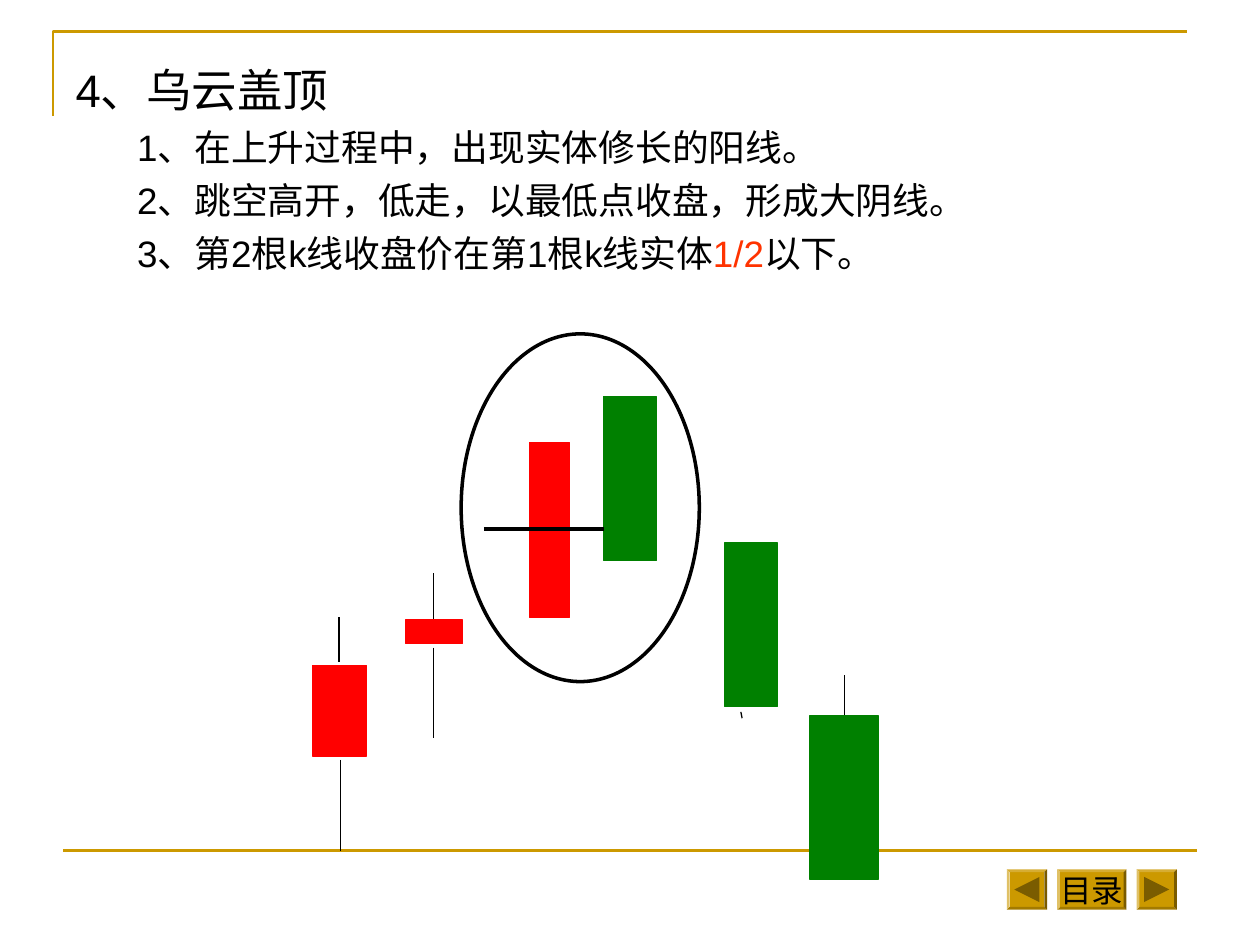
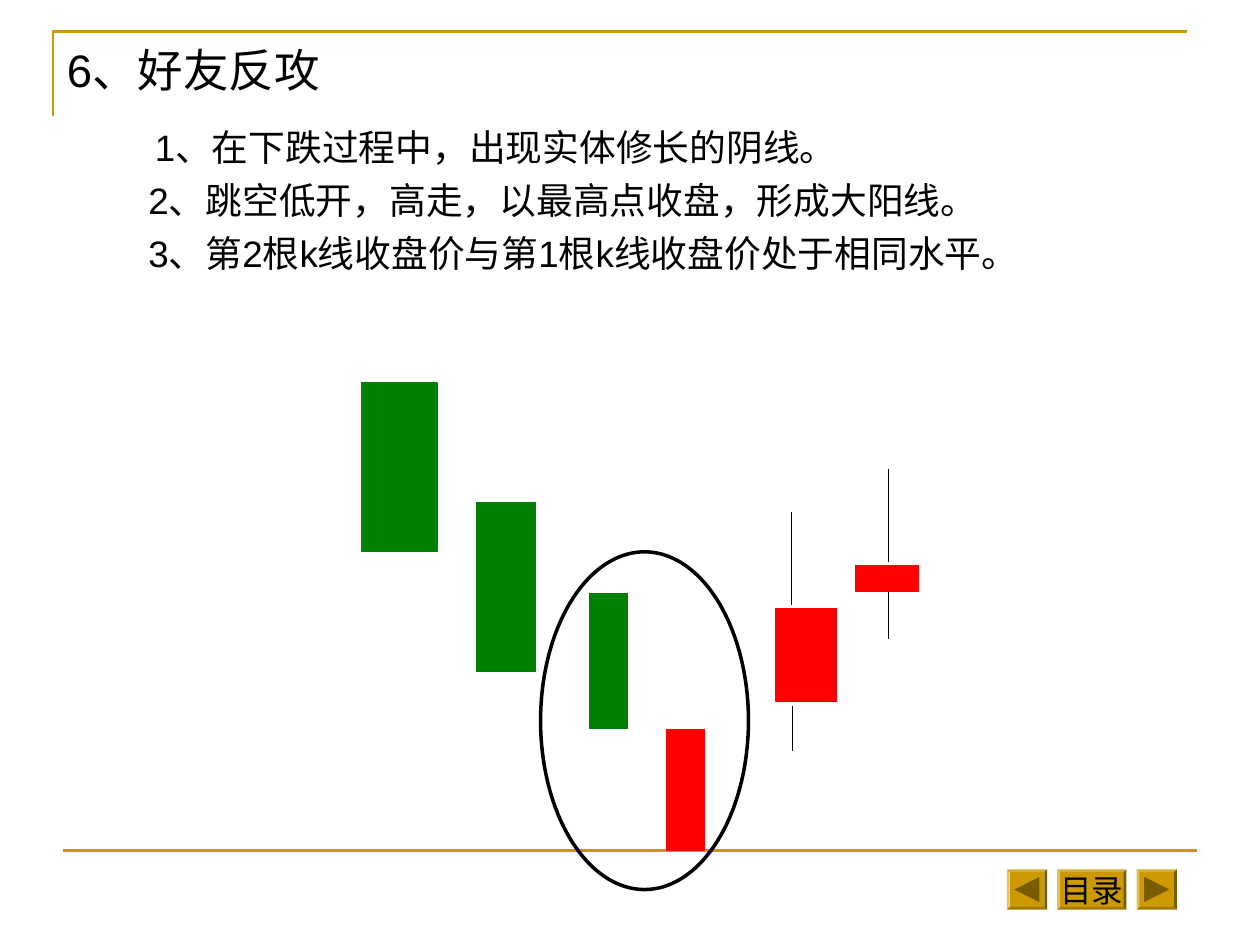
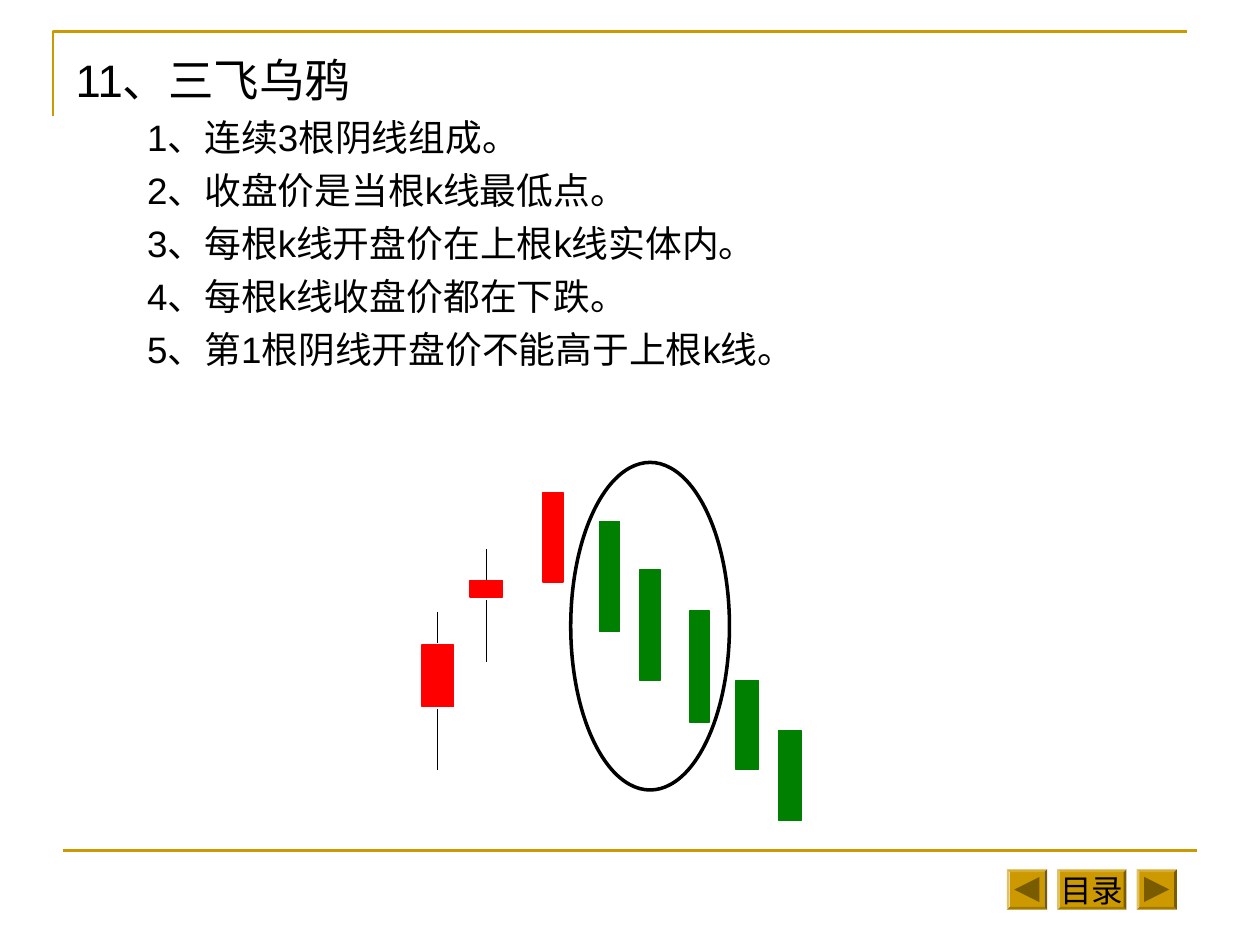
import pptx
import pptx.dml.color
import pptx.enum.shapes
import pptx.enum.text
import pptx.oxml
import pptx.util

Inches = pptx.util.Inches
Pt = pptx.util.Pt
SHAPES = pptx.enum.shapes.MSO_SHAPE
ALIGN = pptx.enum.text.PP_ALIGN
ANCHOR = pptx.enum.text.MSO_ANCHOR

GOLD = "CC9900"
DARK_GOLD = "7A5C00"
BLACK = "000000"
HIGHLIGHT = "FF3300"
CANDLE_COLOURS = {"rise": "FF0000", "fall": "008000"}
LINE_STYLES = {"rule": (GOLD, 1.5), "wick": (BLACK, 0.75), "midline": (BLACK, 2)}


def colour(hex_string):
    return pptx.dml.color.RGBColor.from_string(hex_string)


def write(paragraph, text, size=21, hex_string=BLACK, align=ALIGN.LEFT, before=0):
    paragraph.alignment = align
    paragraph.space_before = Pt(before)
    run = paragraph.add_run()
    run.text = text
    run.font.size = Pt(size)
    run.font.name = "Arial"
    run.font.color.rgb = colour(hex_string)


patterns = [
    {
        "title": "4、乌云盖顶",
        "title_at": (0.5, 0.44),
        "list_at": (0.99, 0.94),
        "first_indent": 0,
        "points": [
            "1、在上升过程中，出现实体修长的阳线。",
            "2、跳空高开，低走，以最低点收盘，形成大阴线。",
            "3、第2根k线收盘价在第1根k线实体1/2以下。",
        ],
        "chart": [
            ("rise", 2.48, 5.28, 0.43, 0.72),
            ("wick", 2.69, 4.9, 2.69, 5.25),
            ("wick", 2.7, 6.03, 2.7, 6.75),
            ("rise", 3.22, 4.92, 0.45, 0.19),
            ("wick", 3.44, 4.55, 3.44, 4.91),
            ("wick", 3.44, 5.14, 3.44, 5.86),
            ("fall", 4.79, 3.15, 0.42, 1.3),
            ("wick", 5.88, 5.65, 5.89, 5.7),
            ("fall", 5.75, 4.31, 0.42, 1.3),
            ("wick", 6.7, 5.36, 6.7, 5.71),
            ("fall", 6.43, 5.68, 0.54, 1.3),
            ("rise", 4.2, 3.51, 0.32, 1.39),
            ("midline", 3.84, 4.2, 4.79, 4.2),
            ("oval", 3.66, 2.65, 1.89, 2.76),
        ],
    },
    {
        "title": "6、好友反攻",
        "title_at": (0.43, 0.28),
        "list_at": (1.08, 0.94),
        "first_indent": 0.05,
        "points": [
            "1、在下跌过程中，出现实体修长的阴线。",
            "2、跳空低开，高走，以最高点收盘，形成大阳线。",
            "3、第2根k线收盘价与第1根k线收盘价处于相同水平。",
        ],
        "chart": [
            ("rise", 6.16, 4.83, 0.48, 0.74),
            ("wick", 6.29, 5.6, 6.29, 5.96),
            ("wick", 6.28, 4.06, 6.28, 4.8),
            ("rise", 6.79, 4.49, 0.5, 0.2),
            ("wick", 7.05, 4.7, 7.05, 5.07),
            ("wick", 7.05, 3.72, 7.05, 4.46),
            ("rise", 5.29, 5.79, 0.3, 0.96),
            ("fall", 3.78, 3.99, 0.47, 1.34),
            ("fall", 2.87, 3.04, 0.6, 1.34),
            ("fall", 4.68, 4.71, 0.3, 1.07),
            ("oval", 4.29, 4.38, 1.65, 2.68),
        ],
    },
    {
        "title": "11、三飞乌鸦",
        "title_at": (0.5, 0.36),
        "list_at": (1.07, 0.86),
        "first_indent": 0,
        "points": [
            "1、连续3根阴线组成。",
            "2、收盘价是当根k线最低点。",
            "3、每根k线开盘价在上根k线实体内。",
            "4、每根k线收盘价都在下跌。",
            "5、第1根阴线开盘价不能高于上根k线。",
        ],
        "chart": [
            ("oval", 4.53, 3.67, 1.26, 2.6),
            ("rise", 3.35, 5.12, 0.25, 0.49),
            ("wick", 3.47, 4.86, 3.47, 5.1),
            ("wick", 3.47, 5.63, 3.47, 6.11),
            ("rise", 3.73, 4.61, 0.26, 0.13),
            ("wick", 3.86, 4.36, 3.86, 4.6),
            ("wick", 3.86, 4.76, 3.86, 5.25),
            ("rise", 4.31, 3.91, 0.16, 0.71),
            ("fall", 4.76, 4.14, 0.16, 0.87),
            ("fall", 5.08, 4.52, 0.16, 0.88),
            ("fall", 5.84, 5.4, 0.18, 0.71),
            ("fall", 5.47, 4.85, 0.16, 0.88),
            ("fall", 6.18, 5.8, 0.18, 0.71),
        ],
    },
]

presentation = pptx.Presentation()
presentation.slide_width = Inches(10)
presentation.slide_height = Inches(7.5)

for pattern in patterns:
    slide = presentation.slides.add_slide(presentation.slide_layouts[5])

    builder = slide.shapes.build_freeform(Inches(0.42), Inches(0.92))
    builder.add_line_segments(
        [(Inches(0.42), Inches(0.25)), (Inches(9.42), Inches(0.25))], close=False
    )
    corner = builder.convert_to_shape()
    corner.shadow.inherit = False
    corner.fill.background()
    corner.line.color.rgb = colour(GOLD)
    corner.line.width = Pt(1.5)

    for kind, left, top, third, fourth in [("rule", 0.5, 6.75, 9.5, 6.75)] + pattern["chart"]:
        box = [Inches(value) for value in (left, top, third, fourth)]
        if kind in LINE_STYLES:
            hex_string, width = LINE_STYLES[kind]
            connector = slide.shapes.add_connector(
                pptx.enum.shapes.MSO_CONNECTOR.STRAIGHT, *box
            )
            connector.line.color.rgb = colour(hex_string)
            connector.line.width = Pt(width)
            connector._element.spPr.append(pptx.oxml.parse_xml(
                '<a:effectLst xmlns:a="http://schemas.openxmlformats.org/drawingml/2006/main"/>'
            ))
        elif kind == "oval":
            oval = slide.shapes.add_shape(SHAPES.OVAL, *box)
            oval.shadow.inherit = False
            oval.fill.background()
            oval.line.color.rgb = colour(BLACK)
            oval.line.width = Pt(2)
        else:
            candle = slide.shapes.add_shape(SHAPES.RECTANGLE, *box)
            candle.shadow.inherit = False
            candle.fill.solid()
            candle.fill.fore_color.rgb = colour(CANDLE_COLOURS[kind])
            candle.line.color.rgb = colour(CANDLE_COLOURS[kind])
            candle.line.width = Pt(0.75)

    for left, width, label, rotation in [
        (7.99, 0.32, "", -90), (8.39, 0.55, "目录", 0), (9.02, 0.32, "", 90)
    ]:
        button = slide.shapes.add_shape(
            SHAPES.BEVEL, Inches(left), Inches(6.9), Inches(width), Inches(0.32)
        )
        button.adjustments[0] = 0.07
        parts = [(button, GOLD)]
        if label:
            button.text_frame.word_wrap = False
            button.text_frame.vertical_anchor = ANCHOR.MIDDLE
            write(button.text_frame.paragraphs[0], label, size=18, align=ALIGN.CENTER)
        else:
            arrow = slide.shapes.add_shape(
                SHAPES.ISOSCELES_TRIANGLE,
                Inches(left + 0.06), Inches(6.96), Inches(0.2), Inches(0.2),
            )
            arrow.rotation = rotation
            parts.append((arrow, DARK_GOLD))
        for shape, hex_string in parts:
            shape.shadow.inherit = False
            shape.fill.solid()
            shape.fill.fore_color.rgb = colour(hex_string)
            shape.line.fill.background()

    title = slide.shapes.title
    title.left, title.top = [Inches(value) for value in pattern["title_at"]]
    title.width, title.height = Inches(9), Inches(0.55)
    title.text_frame.auto_size = pptx.enum.text.MSO_AUTO_SIZE.NONE
    title.text_frame.vertical_anchor = ANCHOR.TOP
    write(title.text_frame.paragraphs[0], pattern["title"], size=26)

    left, top = pattern["list_at"]
    points = pattern["points"]
    text_box = slide.shapes.add_textbox(
        Inches(left), Inches(top), Inches(9.5 - left), Inches(0.1 + 0.42 * len(points))
    )
    text_frame = text_box.text_frame
    text_frame.word_wrap = True
    for index, point in enumerate(points):
        paragraph = text_frame.add_paragraph() if index else text_frame.paragraphs[0]
        if index == 0:
            properties = paragraph._p.get_or_add_pPr()
            properties.set("marL", str(Inches(pattern["first_indent"])))
        for text in point.partition("1/2"):
            if text:
                write(
                    paragraph, text, before=5.2 if index else 0,
                    hex_string=HIGHLIGHT if text == "1/2" else BLACK,
                )

presentation.save("out.pptx")
